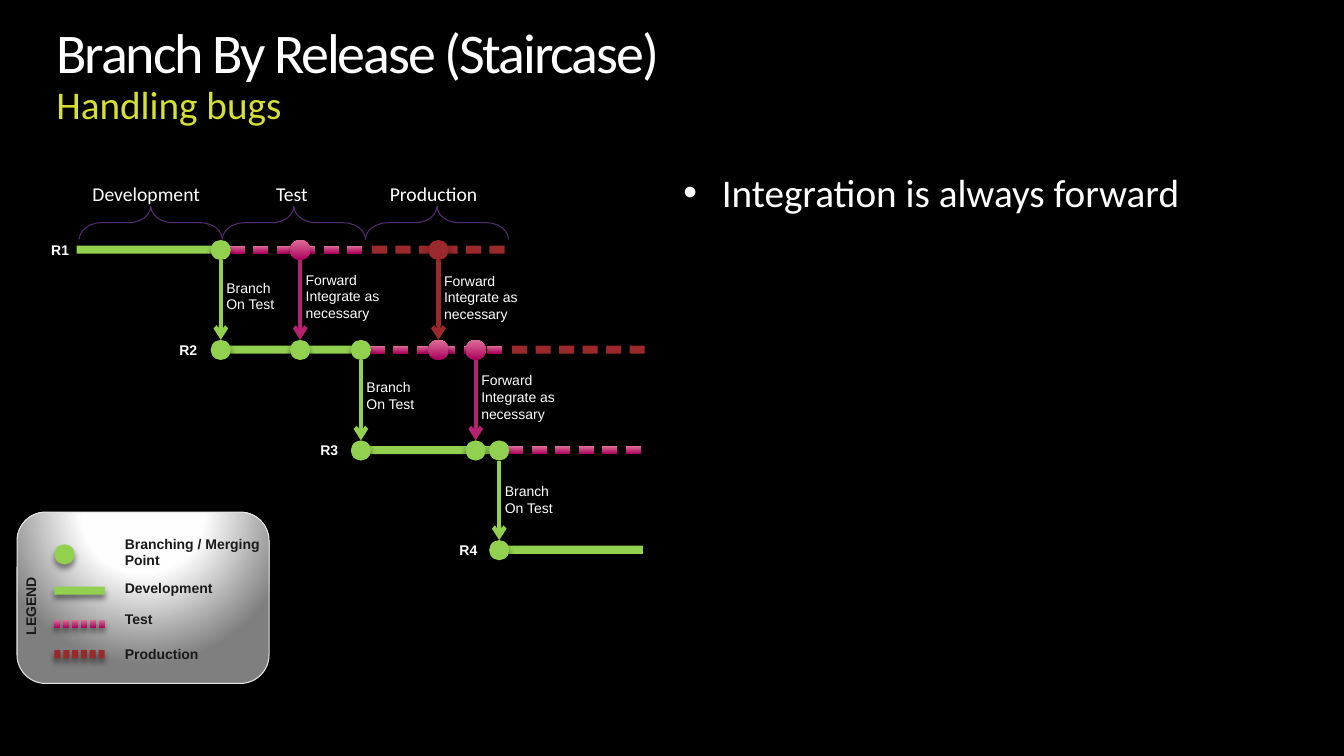
import pptx
import pptx.dml.color
import pptx.enum.shapes
import pptx.enum.text
import pptx.oxml
import pptx.oxml.ns
import pptx.util

Pt = pptx.util.Pt
qn = pptx.oxml.ns.qn
SHAPE = pptx.enum.shapes.MSO_SHAPE
TEXT = pptx.enum.text

COLORS = {
    "background": "000000", "white": "FFFFFF", "subtitle": "D6E032",
    "development": "92D050", "test": "B72172", "production": "9B282A",
    "brace": "552B72", "legend text": "1A1A1A", "legend edge": "E6E6E6",
}
# Gradients: stops as (percent, colour), then the direction element
GRADIENTS = {
    "test": ([(0, "AA005C"), (72, "D05087"), (100, "DC6D98")],
             '<a:lin ang="16200000" scaled="0"/>'),
    "legend": ([(0, "FFFFFF"), (40, "FEFEFE"), (100, "7F7F7F")],
               '<a:path path="circle"><a:fillToRect l="50000" t="-80000" '
               'r="50000" b="180000"/></a:path>'),
}
FORMATS = {
    "title": {"name": "Calibri", "size": Pt(40), "bold": False},
    "subtitle": {"name": "Calibri", "size": Pt(28), "bold": False},
    "phase": {"name": "Calibri", "size": Pt(14)},
    "note": {"name": "Arial", "size": Pt(10)},
    "label": {"name": "Arial", "size": Pt(10), "bold": True},
}
NO_INSETS = {"margin_left": 0, "margin_right": 0, "margin_top": 0, "margin_bottom": 0}

DOT = 14.4
BAR_HEIGHT, PHASE_WIDTH = 5.8, 102.2
DASHES = 6
ROW_CENTERS = [178.6, 250, 321.8, 393]
# Name, label left, and where each phase starts on that release line
RELEASES = [
    ("R1", 29.5, {"development": 54.7, "test": 164.2, "production": 265.7}),
    ("R2", 121, {"development": 156.2, "test": 264.2, "production": 365.8}),
    ("R3", 221.8, {"development": 255.6, "test": 362.9}),
    ("R4", 321.1, {"development": 357.1}),
]
BRANCH = (["Branch", "On Test"], 51.1, 31.7)
FORWARD = (["Forward", "Integrate as", "necessary"], 67.7, 43.9)
# Centre x, upper row, phase above, phase below, note, top of note
MERGES = [
    (157.7, 0, "development", "development", BRANCH, 195.8),
    (214.4, 0, "test", "development", FORWARD, 190.1),
    (313.2, 0, "production", "test", FORWARD, 190.8),
    (257.8, 1, "development", "development", BRANCH, 267.1),
    (339.8, 1, "test", "development", FORWARD, 262.1),
    (356.6, 2, "development", "development", BRANCH, 341.3),
]


def rgb(name):
    return pptx.dml.color.RGBColor.from_string(COLORS[name])


def xml(tag):
    """Parse one DrawingML element given as text."""
    head, rest = (tag[:tag.index(" ")], tag[tag.index(" "):])
    return pptx.oxml.parse_xml(f"{head} {pptx.oxml.ns.nsdecls('a')}{rest}")


def apply(target, values):
    for name, value in values.items():
        setattr(target, name, value)


def paint(shape, fill):
    """Fill with a gradient if the name has one, else with a flat colour."""
    if fill not in GRADIENTS:
        shape.fill.solid()
        shape.fill.fore_color.rgb = rgb(fill)
        return
    stops, direction = GRADIENTS[fill]
    shape.fill.gradient()
    gradient = shape._element.spPr.find(qn("a:gradFill"))
    for child in list(gradient):
        gradient.remove(child)
    gradient.append(xml('<a:gsLst >' + "".join(
        f'<a:gs pos="{pos * 1000}"><a:srgbClr val="{color}"/></a:gs>'
        for pos, color in stops) + "</a:gsLst>"))
    gradient.append(xml(direction))


def cast_shadow(effects):
    effects.append(xml(
        '<a:outerShdw blurRad="50800" dist="38100" dir="5400000" rotWithShape="0">'
        '<a:srgbClr val="000000"><a:alpha val="43000"/></a:srgbClr></a:outerShdw>'))


def add_block(shapes, kind, left, top, width, height, fill):
    block = shapes.add_shape(kind, Pt(left), Pt(top), Pt(width), Pt(height))
    block.shadow.inherit = False
    paint(block, fill)
    block.line.fill.background()
    cast_shadow(block._element.spPr.find(qn("a:effectLst")))
    return block


def add_dot(shapes, x, y, phase):
    add_block(shapes, SHAPE.FLOWCHART_CONNECTOR, x - DOT / 2, y - DOT / 2, DOT, DOT, phase)


def add_dashes(shapes, left, top, dash, pitch, phase):
    dashes = shapes.add_group_shape().shapes
    for i in range(DASHES):
        add_block(dashes, SHAPE.RECTANGLE, left + i * pitch, top, dash, BAR_HEIGHT, phase)


def add_arrow(shapes, x, top, bottom, phase):
    arrow = shapes.add_connector(pptx.enum.shapes.MSO_CONNECTOR.STRAIGHT,
                                 Pt(x), Pt(top), Pt(x), Pt(bottom))
    arrow.line.width = Pt(3)
    arrow.line.color.rgb = rgb(phase)
    arrow.line._get_or_add_ln().append(xml('<a:tailEnd type="arrow"/>'))
    effects = xml("<a:effectLst />")
    arrow._element.spPr.append(effects)
    cast_shadow(effects)


def add_text(shapes, lines, left, top, width, height, style, color="white", wrap=False):
    box = shapes.add_textbox(Pt(left), Pt(top), Pt(width), Pt(height))
    frame = box.text_frame
    apply(frame, {"word_wrap": wrap, "auto_size": TEXT.MSO_AUTO_SIZE.SHAPE_TO_FIT_TEXT})
    frame.text = "\n".join(lines)
    for paragraph in frame.paragraphs:
        apply(paragraph.runs[0].font, FORMATS[style])
        paragraph.runs[0].font.color.rgb = rgb(color)
    return box


def add_title(slide):
    title = slide.shapes.title
    apply(title, {"left": Pt(40.3), "top": Pt(18), "width": Pt(879.8), "height": Pt(74.2)})
    frame = title.text_frame
    apply(frame, NO_INSETS | {"vertical_anchor": TEXT.MSO_ANCHOR.TOP, "word_wrap": True,
                              "auto_size": TEXT.MSO_AUTO_SIZE.SHAPE_TO_FIT_TEXT})
    heading = frame.paragraphs[0]
    apply(heading, {"alignment": TEXT.PP_ALIGN.LEFT, "line_spacing": 0.9})
    for words, style, color, spacing in [
            ("Branch By Release (Staircase)", "title", "white", "-150"),
            ("Handling bugs", "subtitle", "subtitle", "0")]:
        if heading.runs:
            heading.add_line_break()
        run = heading.add_run()
        run.text = words
        apply(run.font, FORMATS[style])
        run.font.color.rgb = rgb(color)
        run.font._element.set("spc", spacing)


def add_bullet(shapes):
    point = add_text(shapes, ["Integration is always forward"],
                     488.2, 123.8, 432, 30.2, "subtitle", wrap=True)
    apply(point.text_frame, NO_INSETS)
    paragraph = point.text_frame.paragraphs[0]
    paragraph.line_spacing = 0.9
    properties = paragraph._p.get_or_add_pPr()
    properties.set("marL", str(Pt(27.4)))
    properties.set("indent", str(-Pt(27.4)))
    properties.append(xml('<a:buFont typeface="Arial"/>'))
    properties.append(xml('<a:buChar char="•"/>'))


def add_phase_heads(shapes):
    heads = [("Development", 59, 97.9), ("Test", 190.1, 40.3), ("Production", 271.4, 82.1)]
    for i, (phase, left, width) in enumerate(heads):
        brace = shapes.add_shape(SHAPE.LEFT_BRACE, Pt(95.8 + i * PHASE_WIDTH), Pt(108),
                                 Pt(23.8), Pt(PHASE_WIDTH))
        brace.shadow.inherit = False
        apply(brace, {"rotation": 90})
        brace.adjustments[0] = 0.668
        brace.fill.background()
        brace.line.color.rgb = rgb("brace")
        brace.line.width = Pt(0.75)
        add_text(shapes, [phase], left, 126.4, width, 24.5, "phase")


def add_releases(shapes):
    for (release, label_left, phases), center in zip(RELEASES, ROW_CENTERS):
        add_text(shapes, [release], label_left, center - 9.8, 27.4, 19.4, "label")
        top = center - 3.2
        for phase, left in phases.items():
            if phase == "development":
                add_block(shapes, SHAPE.RECTANGLE, left, top, PHASE_WIDTH, BAR_HEIGHT, phase)
            else:
                add_dashes(shapes, left, top, 10.8, 16.78, phase)


def add_merges(shapes):
    for x, row, source, target, (lines, width, height), note_top in MERGES:
        upper, lower = ROW_CENTERS[row:row + 2]
        add_dot(shapes, x, upper, source)
        add_arrow(shapes, x, upper + DOT / 2, lower - DOT / 2, source)
        add_dot(shapes, x, lower, target)
        add_text(shapes, lines, x - 3.1, note_top, width, height, "note")
    # End of development on R2 and R3 is drawn by the branches above


def add_legend(shapes):
    panel = add_block(shapes, SHAPE.ROUNDED_RECTANGLE, 12.2, 365.8, 180, 122.4, "legend")
    panel.line.color.rgb = rgb("legend edge")
    panel.line.width = Pt(0.75)
    caption = add_text(shapes, ["LEGEND"], -6.5, 422.6, 56.9, 19.4, "label", "legend text", True)
    caption.rotation = 270
    # Keys
    add_dot(shapes, 46.1, 396, "development")
    add_block(shapes, SHAPE.RECTANGLE, 38.9, 419, 36, BAR_HEIGHT, "development")
    for phase, top in [("test", 442.8), ("production", 464.4)]:
        add_dashes(shapes, 38.9, top, 4.3, 6.3, phase)
    # Names
    for lines, top, width, height in [
            (["Branching / Merging", "Point"], 378.7, 112.3, 31.7),
            (["Development"], 410.4, 77.8, 19.4),
            (["Test"], 432.9, 35.3, 19.4),
            (["Production"], 457.2, 67.7, 19.4)]:
        add_text(shapes, lines, 82.1, top, width, height, "label", "legend text")


def main():
    deck = pptx.Presentation()
    apply(deck, {"slide_width": Pt(960), "slide_height": Pt(540)})
    slide = deck.slides.add_slide(deck.slide_layouts.get_by_name("Title Only"))
    slide.background.fill.solid()
    slide.background.fill.fore_color.rgb = rgb("background")
    add_title(slide)
    for add_part in (add_bullet, add_releases, add_phase_heads, add_merges, add_legend):
        add_part(slide.shapes)
    deck.save("out.pptx")


if __name__ == "__main__":
    main()
